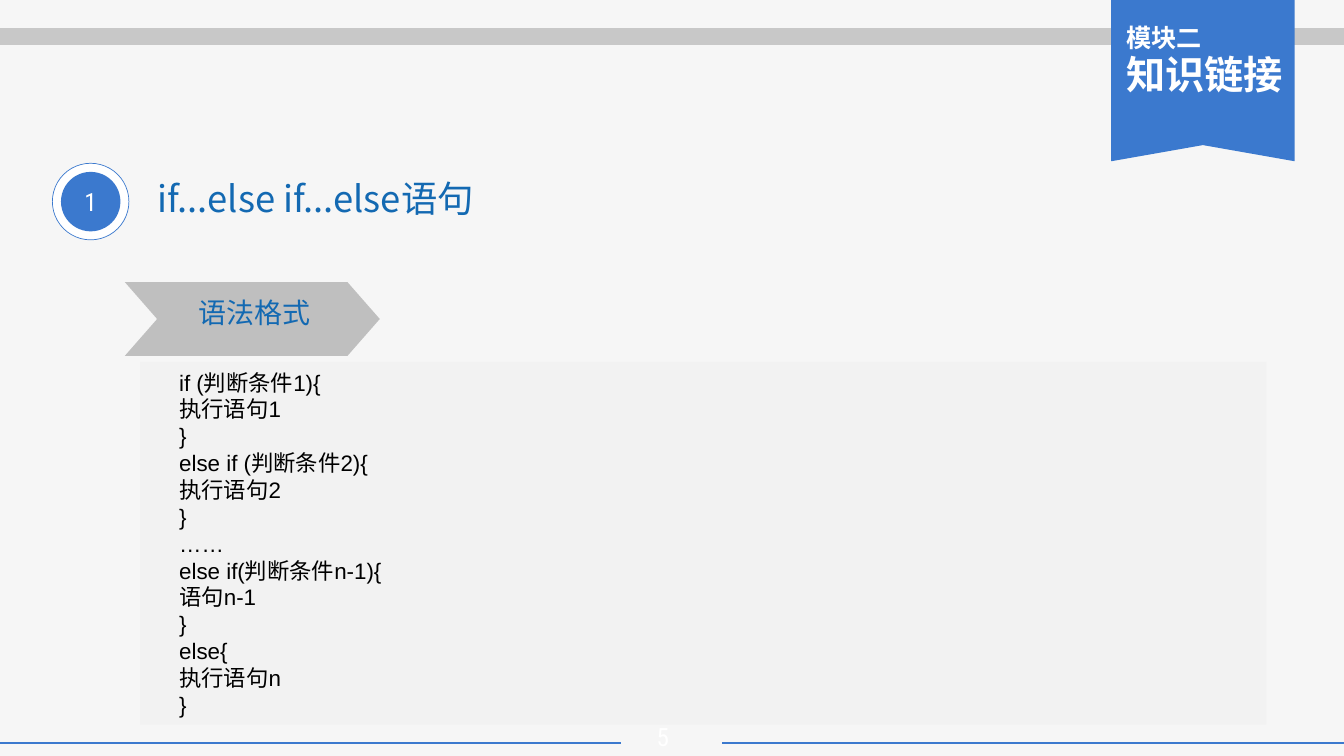
from pptx import Presentation
from pptx import util as u
from pptx.dml import color
from pptx.enum import shapes, text
from pptx.oxml import ns
from lxml import etree

HUES = {"back": "F6F6F6", "blue": "3B79CE", "band": "C8C8C8", "arrow": "BFBFBF",
        "panel": "F2F2F2", "title": "1369B2", "white": "FFFFFF", "black": "000000"}
SANS = "Noto Sans CJK SC"
DIGIT = "Roboto Condensed"
CODE = """if (判断条件1){
执行语句1
}
else if (判断条件2){
执行语句2
}
……
else if(判断条件n-1){
语句n-1
}
else{
执行语句n
}"""


def hue(name):
    """Return the named colour."""
    return color.RGBColor.from_string(HUES[name])


def paint(shape, fill, line=None, width=0.5):
    """Give a shape a flat fill and an optional outline."""
    shape.shadow.inherit = False
    shape.fill.solid()
    shape.fill.fore_color.rgb = hue(fill)
    if line:
        shape.line.color.rgb = hue(line)
        shape.line.width = u.Pt(width)
    else:
        shape.line.fill.background()
    return shape


def form(slide, kind, box, fill, line=None):
    """Add a painted preset shape."""
    shape = slide.shapes.add_shape(kind, *map(u.Inches, box))
    return paint(shape, fill, line)


def rule(slide, left, right, y, tint, width):
    """Draw a level line."""
    line = slide.shapes.add_connector(
        shapes.MSO_CONNECTOR.STRAIGHT, *map(u.Inches, (left, y, right, y)))
    line.line.color.rgb = hue(tint)
    line.line.width = u.Pt(width)
    etree.SubElement(line._element.spPr, ns.qn("a:effectLst"))


def write(shape, words, sizes, tint, font=SANS, bold=False, align="LEFT",
          anchor="TOP", wrap=True, space=None, after=0, indent=0):
    """Write lines of text into a shape, one paragraph each."""
    frame = shape.text_frame
    frame.word_wrap = wrap
    frame.vertical_anchor = text.MSO_ANCHOR[anchor]
    lines = words.split("\n")
    for i, line in enumerate(lines):
        para = frame.add_paragraph() if i else frame.paragraphs[0]
        para.alignment = text.PP_ALIGN[align]
        para.space_after = u.Pt(after)
        if space:
            para.line_spacing = space
        if indent:
            para._p.get_or_add_pPr().set("marL", str(u.Inches(indent)))
        run = para.add_run()
        run.text = line
        run.font.size = u.Pt(sizes[i % len(sizes)])
        run.font.name = font
        run.font.bold = bold
        run.font.color.rgb = hue(tint)
        east = etree.SubElement(run.font._element, ns.qn("a:ea"))
        east.set("typeface", SANS)


def label(slide, box, words, sizes, tint, **style):
    """Add a text box."""
    area = slide.shapes.add_textbox(*map(u.Inches, box))
    write(area, words, sizes, tint, **style)


def frame(slide, width, height):
    """Draw the top band, the split foot rule and the page number."""
    foot = height - 0.13
    rule(slide, 0, width, 0.36, "band", 12)
    rule(slide, 0, 6.16, foot, "blue", 1.77)
    rule(slide, 7.17, width, foot, "blue", 1.77)
    label(slide, (6.28, foot - 0.26, 0.6, 0.36), "5", [18], "white",
          font=DIGIT, align="CENTER")


def ribbon(slide, x, y, w, h):
    """Draw the notched ribbon with the module name."""
    points = [(x + w, y), (x + w, y + h), (x + w / 2, y + h - 0.16), (x, y + h)]
    pen = slide.shapes.build_freeform(u.Inches(x), u.Inches(y))
    pen.add_line_segments([tuple(map(u.Inches, point)) for point in points])
    paint(pen.convert_to_shape(), "blue")
    label(slide, (x + 0.05, y + 0.21, w - 0.04, 0.92), "模块二\n知识链接",
          [18, 28], "white", bold=True, space=0.87, after=3)


def heading(slide, x, y, w, h):
    """Draw the ringed number and the title beside it."""
    oval = shapes.MSO_SHAPE.OVAL
    gap = 0.085
    form(slide, oval, (x, y, h, h), "white", "blue")
    disc = form(slide, oval, (x + gap, y + gap, h - 2 * gap, h - 2 * gap), "blue")
    write(disc, "1", [18], "white", font=DIGIT, align="CENTER", anchor="MIDDLE")
    label(slide, (x + 0.95, y + 0.08, w - 0.95, 0.47),
          "if...else if...else语句", [26], "title")


def syntax(slide, x, y, w, h):
    """Draw the chevron label and the code panel below it."""
    arrow = form(slide, shapes.MSO_SHAPE.CHEVRON, (x, y, 2.53, 0.73), "arrow")
    arrow.adjustments[0] = 0.438
    panel = form(slide, shapes.MSO_SHAPE.RECTANGLE,
                 (x + 0.15, y + 0.79, w - 0.15, h - 0.79), "panel")
    write(panel, CODE, [16], "black", font="Arial", anchor="MIDDLE",
          space=u.Pt(19.2), indent=0.29)
    label(slide, (x + 0.63, y + 0.08, 1.31, 0.44), "语法格式", [20], "title",
          wrap=False)


def main():
    """Build the slide and save it."""
    deck = Presentation()
    deck.slide_width, deck.slide_height = u.Inches(13.34), u.Inches(7.5)
    slide = deck.slides.add_slide(deck.slide_layouts[6])
    slide.background.fill.solid()
    slide.background.fill.fore_color.rgb = hue("back")
    frame(slide, 13.34, 7.5)
    ribbon(slide, 11.03, 0, 1.82, 1.6)
    heading(slide, 0.52, 1.62, 4.48, 0.76)
    syntax(slide, 1.24, 2.8, 11.33, 4.39)
    deck.save("out.pptx")


if __name__ == "__main__":
    main()
